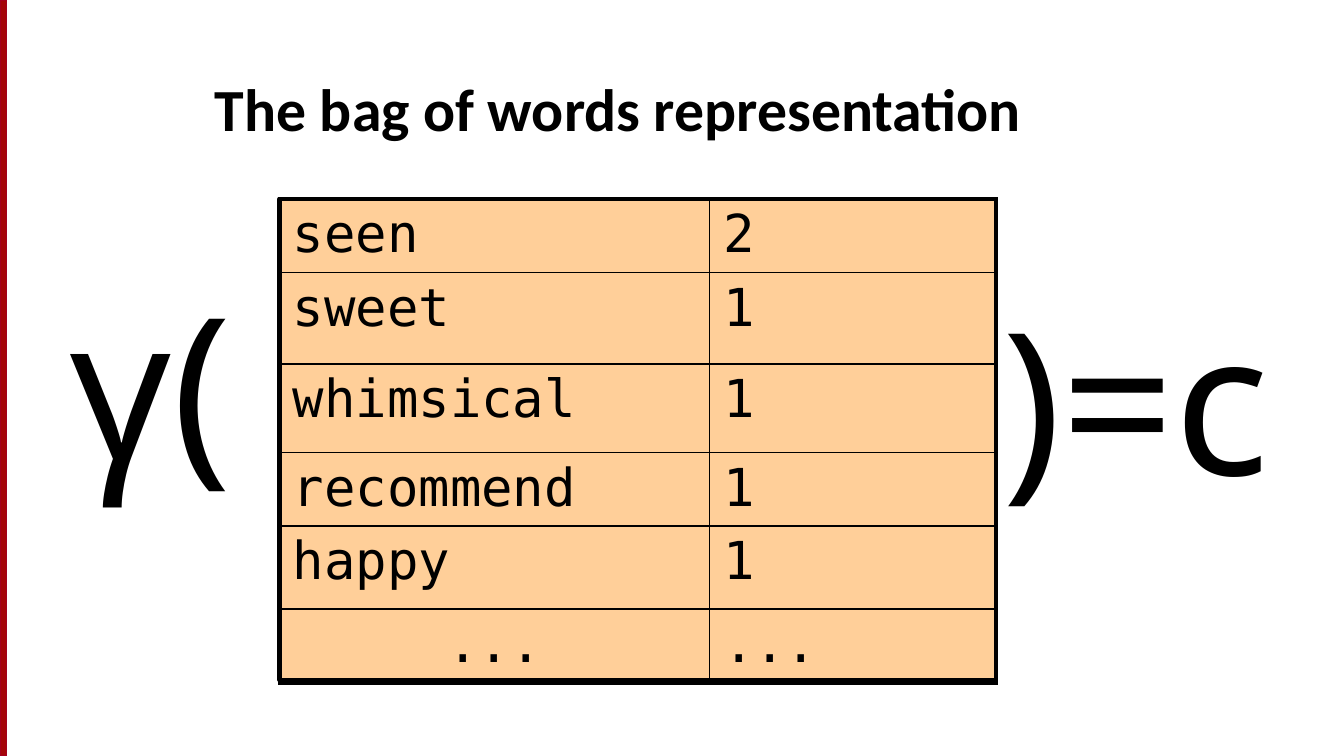
from dataclasses import dataclass

from lxml.etree import SubElement
from pptx import Presentation
from pptx.dml.color import RGBColor as Rgb
from pptx.enum.shapes import MSO_SHAPE as Shape
from pptx.enum.text import MSO_ANCHOR as Anchor, MSO_AUTO_SIZE as AutoSize, PP_ALIGN as Align
from pptx.oxml.ns import qn
from pptx.util import Inches, Pt


@dataclass(frozen=True)
class Theme:
    ink: str = "000000"
    bar: str = "A40508"
    bar_edge: str = "A4001D"
    bag: str = "FFCF99"
    title_font: str = "Calibri"
    formula_font: str = "Noto Sans"
    word_font: str = "DejaVu Sans Mono"
    title_size: int = 32
    formula_size: int = 106
    word_size: int = 28
    outer_line: float = 2.25
    inner_line: float = 1
    bar_line: float = 0.75


THEME = Theme()
SLIDE_WIDTH = 10
SLIDE_HEIGHT = SLIDE_WIDTH * 9 / 16
BAG_BOX = (2.08, 1.48, 5.33, 3.58)
COLUMN_WIDTHS = (3.2, 2.13)
ROW_HEIGHTS = (0.47, 0.68, 0.66, 0.45, 0.62, 0.55)
WORD_COUNTS = (
    ("seen", "2"),
    ("sweet", "1"),
    ("whimsical", "1"),
    ("recommend", "1"),
    ("happy", "1"),
    ("...", "..."),
)


def write(frame, text, *, font, size, bold=False, align=Align.LEFT):
    paragraph = frame.paragraphs[0]
    paragraph.alignment = align
    run = paragraph.add_run()
    run.text = text
    run.font.name = font
    run.font.size = Pt(size)
    run.font.bold = bold
    run.font.color.rgb = Rgb.from_string(THEME.ink)


def add_label(slide, box, text, *, anchor, wrap=True, grow=False, **style):
    frame = slide.shapes.add_textbox(*map(Inches, box)).text_frame
    frame.word_wrap = wrap
    frame.auto_size = AutoSize.SHAPE_TO_FIT_TEXT if grow else AutoSize.NONE
    frame.vertical_anchor = anchor
    write(frame, text, **style)


def add_panel(slide, box, fill, edge, width):
    panel = slide.shapes.add_shape(Shape.RECTANGLE, *map(Inches, box))
    panel.shadow.inherit = False
    panel.fill.solid()
    panel.fill.fore_color.rgb = Rgb.from_string(fill)
    panel.line.color.rgb = Rgb.from_string(edge)
    panel.line.width = Pt(width)


def set_borders(cell, outer_sides):
    properties = cell._tc.get_or_add_tcPr()
    for side in "LRTB":
        width = THEME.outer_line if side in outer_sides else THEME.inner_line
        border = SubElement(properties, qn(f"a:ln{side}"), w=str(Pt(width)))
        fill = SubElement(border, qn("a:solidFill"))
        SubElement(fill, qn("a:srgbClr"), val=THEME.ink)


def add_word_counts(slide):
    rows, columns = len(ROW_HEIGHTS), len(COLUMN_WIDTHS)
    table = slide.shapes.add_table(rows, columns, *map(Inches, BAG_BOX)).table
    table.first_row = table.horz_banding = False
    for column, width in zip(table.columns, COLUMN_WIDTHS):
        column.width = Inches(width)
    for row, height in zip(table.rows, ROW_HEIGHTS):
        row.height = Inches(height)

    for r, entry in enumerate(WORD_COUNTS):
        for c, text in enumerate(entry):
            cell = table.cell(r, c)
            cell.margin_left = cell.margin_right = Inches(0.1)
            cell.margin_top = cell.margin_bottom = Inches(0.04)
            outer_sides = ("R" if c else "L") + {0: "T", rows - 1: "B"}.get(r, "")
            set_borders(cell, outer_sides)
            cell.fill.background()
            is_ellipsis_word = c == 0 and text == "..."
            write(cell.text_frame, text, font=THEME.word_font, size=THEME.word_size,
                  align=Align.CENTER if is_ellipsis_word else Align.LEFT)


def main():
    deck = Presentation()
    deck.slide_width, deck.slide_height = Inches(SLIDE_WIDTH), Inches(SLIDE_HEIGHT)
    slide = deck.slides.add_slide(deck.slide_layouts[6])

    add_panel(slide, (0, 0, 0.05, SLIDE_HEIGHT), THEME.bar, THEME.bar_edge, THEME.bar_line)
    add_label(slide, (1.5, 0.31, 8.17, 0.81), "The bag of words representation",
              anchor=Anchor.BOTTOM, font=THEME.title_font, size=THEME.title_size, bold=True)
    add_panel(slide, BAG_BOX, THEME.bag, THEME.ink, THEME.outer_line)

    formula = dict(anchor=Anchor.MIDDLE, grow=True,
                   font=THEME.formula_font, size=THEME.formula_size)
    add_label(slide, (0.42, 1.9, 1.58, 1.88), "γ(", **formula)
    add_label(slide, (7.36, 2.01, 2.39, 1.88), ")=c", wrap=False, **formula)
    add_word_counts(slide)

    deck.save("out.pptx")


if __name__ == "__main__":
    main()
